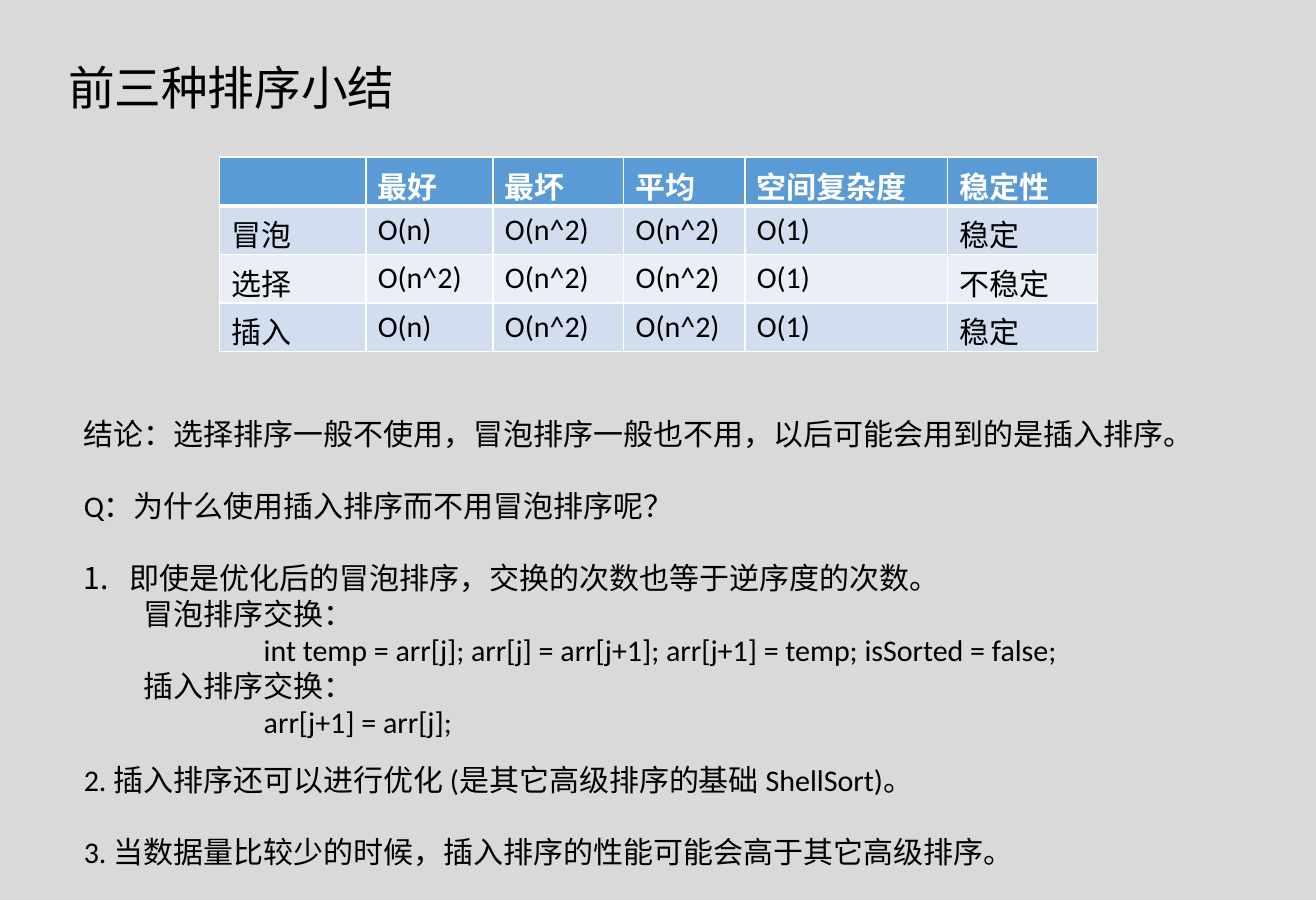
from dataclasses import dataclass

from lxml.etree import SubElement
from pptx import Presentation
from pptx.dml.color import RGBColor
from pptx.enum.text import MSO_AUTO_SIZE
from pptx.oxml.ns import qn
from pptx.util import Inches, Pt

# The slide is a grid of 0.1 inch cells: 109.7 columns by 75 rows
GRID = Inches(0.1)
SLIDE_COLUMNS, SLIDE_ROWS = 109.7, 75


@dataclass(frozen=True)
class Theme:
    font: str = "Calibri"
    title_size: float = 28
    body_size: float = 18
    paragraph_gap: float = 21.6
    thin_line: float = 1
    thick_line: float = 3
    background: str = "D9D9D9"
    text: str = "000000"
    white: str = "FFFFFF"
    header: str = "5B9BD5"
    bands: tuple = ("D2DEEF", "EAEFF7")


THEME = Theme()

COLUMN_WIDTHS = (12.2, 10.6, 10.9, 10.1, 16.9, 12.5)
COMPLEXITY = (
    ("", "最好", "最坏", "平均", "空间复杂度", "稳定性"),
    ("冒泡", "O(n)", "O(n^2)", "O(n^2)", "O(1)", "稳定"),
    ("选择", "O(n^2)", "O(n^2)", "O(n^2)", "O(1)", "不稳定"),
    ("插入", "O(n)", "O(n^2)", "O(n^2)", "O(1)", "稳定"),
)

# Each line: text, kind of line, whether a gap stands before it
CONCLUSION = (
    ("结论：选择排序一般不使用，冒泡排序一般也不用，以后可能会用到的是插入排序。", "plain", False),
    ("Q：为什么使用插入排序而不用冒泡排序呢？", "plain", True),
    ("即使是优化后的冒泡排序，交换的次数也等于逆序度的次数。", "numbered", True),
    ("冒泡排序交换：", "detail", False),
    ("int temp = arr[j]; arr[j] = arr[j+1]; arr[j+1] = temp; isSorted = false;", "code", False),
    ("插入排序交换：", "detail", False),
    ("arr[j+1] = arr[j];", "code", False),
)
FURTHER_REASONS = (
    ("2. 插入排序还可以进行优化 (是其它高级排序的基础 ShellSort)。", "plain", False),
    ("3. 当数据量比较少的时候，插入排序的性能可能会高于其它高级排序。", "plain", True),
)
# Left margin and first-line indent in grid columns
INDENTS = {"plain": (0, 0), "numbered": (3.8, -3.8), "detail": (5, 0), "code": (15, 0)}


def grid_box(left, top, width, height):
    return tuple(round(length * GRID) for length in (left, top, width, height))


def style_paragraph(paragraph, size, color, bold=False):
    font = paragraph.font
    font.name, font.size, font.bold = THEME.font, Pt(size), bold
    font.color.rgb = RGBColor.from_string(color)


def indent_paragraph(paragraph, kind):
    margin, first_line = INDENTS[kind]
    properties = paragraph._p.get_or_add_pPr()
    properties.set("marL", str(round(margin * GRID)))
    properties.set("indent", str(round(first_line * GRID)))
    if kind == "numbered":
        number = properties.makeelement(qn("a:buAutoNum"), {"type": "arabicPeriod"})
        properties.find(qn("a:defRPr")).addprevious(number)


def add_text(slide, box, lines, size):
    shape = slide.shapes.add_textbox(*box)
    frame = shape.text_frame
    frame.word_wrap = True
    frame.auto_size = MSO_AUTO_SIZE.SHAPE_TO_FIT_TEXT
    frame.text = "\n".join(text for text, _, _ in lines)
    for paragraph, (_, kind, gap) in zip(frame.paragraphs, lines):
        style_paragraph(paragraph, size, THEME.text)
        paragraph.space_before = Pt(THEME.paragraph_gap if gap else 0)
        indent_paragraph(paragraph, kind)


def set_borders(cell, row):
    widths = {side: THEME.thin_line for side in ("lnL", "lnR", "lnT", "lnB")}
    if row < 2:  # heavy rule between the header and the first body row
        widths["lnB" if row == 0 else "lnT"] = THEME.thick_line
    properties = cell._tc.get_or_add_tcPr()
    for side, width in widths.items():
        line = SubElement(properties, qn(f"a:{side}"), w=str(Pt(width)))
        fill = SubElement(line, qn("a:solidFill"))
        SubElement(fill, qn("a:srgbClr"), val=THEME.white)


def add_complexity_table(slide, box):
    shape = slide.shapes.add_table(len(COMPLEXITY), len(COLUMN_WIDTHS), *box)
    table = shape.table
    for column, width in zip(table.columns, COLUMN_WIDTHS):
        column.width = round(box[2] * width / sum(COLUMN_WIDTHS))
    for row, values in enumerate(COMPLEXITY):
        is_header = row == 0
        fill_color = THEME.header if is_header else THEME.bands[(row - 1) % 2]
        text_color = THEME.white if is_header else THEME.text
        for column, value in enumerate(values):
            cell = table.cell(row, column)
            cell.text = value
            style_paragraph(cell.text_frame.paragraphs[0], THEME.body_size, text_color, is_header)
            set_borders(cell, row)
            cell.fill.solid()
            cell.fill.fore_color.rgb = RGBColor.from_string(fill_color)


def build_summary_slide(presentation):
    slide = presentation.slides.add_slide(presentation.slide_layouts[6])
    slide.background.fill.solid()
    slide.background.fill.fore_color.rgb = RGBColor.from_string(THEME.background)
    # Title
    add_text(slide, grid_box(4.7, 4.4, 42.3, 5.7),
             (("前三种排序小结", "plain", False),), THEME.title_size)
    # Comparison of the three sorts
    add_complexity_table(slide, grid_box(18.3, 13.1, sum(COLUMN_WIDTHS), 16.2))
    # Conclusion and reasons
    add_text(slide, grid_box(6, 34.1, 95.1, 34.3), CONCLUSION, THEME.body_size)
    add_text(slide, grid_box(6, 63, 95.1, 10.1), FURTHER_REASONS, THEME.body_size)


def main():
    presentation = Presentation()
    presentation.slide_width = round(SLIDE_COLUMNS * GRID)
    presentation.slide_height = SLIDE_ROWS * GRID
    build_summary_slide(presentation)
    presentation.save("out.pptx")


if __name__ == "__main__":
    main()
